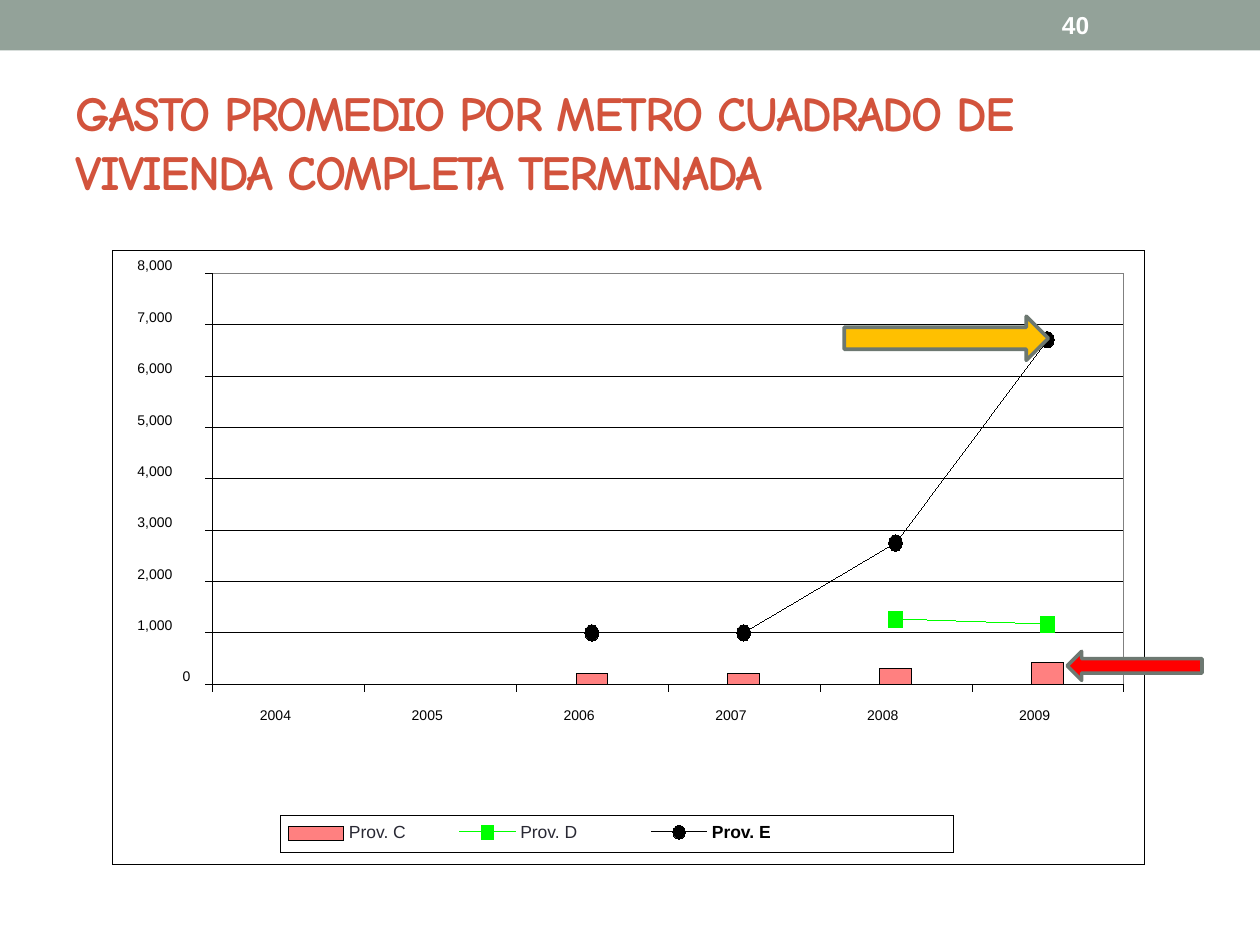
from dataclasses import dataclass
from lxml import etree
from pptx import Presentation
from pptx import util as u
from pptx.dml.color import RGBColor
from pptx.enum import shapes as es, text as et
from pptx.oxml.ns import qn

BLACK = RGBColor(0, 0, 0)
WHITE = RGBColor(255, 255, 255)
GRAY = RGBColor(0x80, 0x80, 0x80)
SAGE = RGBColor(0x93, 0xA2, 0x99)
EDGE = RGBColor(0x6D, 0x78, 0x71)
RUST = RGBColor(0xD2, 0x53, 0x3C)
INK = RGBColor(0x29, 0x29, 0x34)
PINK = RGBColor(0xFF, 0x80, 0x80)
GREEN = RGBColor(0, 255, 0)
GOLD = RGBColor(0xFF, 0xC0, 0)
RED = RGBColor(255, 0, 0)

RECT = es.MSO_SHAPE.RECTANGLE
OVAL = es.MSO_SHAPE.OVAL
YEARS = range(2004, 2010)
ROWS = 8
LEFT, TOP, WIDE, HIGH = 1.69, 2.17, 7.23, 3.26
BASE, RIGHT = TOP + HIGH, LEFT + WIDE
COL, ROW = WIDE / len(YEARS), HIGH / ROWS
TICK = 0.06
KEY = 6.6
HAIR = 0.01


@dataclass
class Series:
    name: str
    color: RGBColor
    mark: es.MSO_SHAPE
    data: dict
    left: float
    label: float
    wide: float = 0.47
    ink: RGBColor = INK
    bold: bool = False


BARS = Series("Prov. C", PINK, RECT,
              {2006: 210, 2007: 210, 2008: 300, 2009: 420}, 2.29, 2.77)
LINES = [
    Series("Prov. D", GREEN, RECT, {2008: 1270, 2009: 1170}, 3.65, 4.13),
    Series("Prov. E", BLACK, OVAL,
           {2006: 1010, 2007: 1010, 2008: 2760, 2009: 6720},
           5.17, 5.65, 0.61, BLACK, True),
]


def mid(year: int) -> float:
    return LEFT + (year - YEARS[0] + 0.5) * COL


def level(value: float) -> float:
    return BASE - value / 1000 * ROW


def box(host, kind, x: float, y: float, w: float, h: float,
        fill=None, line=None, width: float = HAIR):
    item = host.add_shape(kind, *map(u.Inches, (x, y, w, h)))
    item.shadow.inherit = False
    if fill is None:
        item.fill.background()
    else:
        item.fill.solid()
        item.fill.fore_color.rgb = fill
    if line is None:
        item.line.fill.background()
    else:
        item.line.color.rgb = line
        item.line.width = u.Pt(width)
    return item


def rule(host, x: float, y: float, x2: float, y2: float, color=BLACK):
    item = host.add_connector(es.MSO_CONNECTOR.STRAIGHT,
                              *map(u.Inches, (x, y, x2, y2)))
    item.line.color.rgb = color
    item.line.width = u.Pt(HAIR)
    etree.SubElement(item._element.spPr, qn("a:effectLst"))
    return item


def style(frame, size: float, color: RGBColor, bold: bool = False,
          face: str = "Arial"):
    font = frame.paragraphs[0].runs[0].font
    font.size, font.bold, font.name = u.Pt(size), bold, face
    font.color.rgb = color


def label(host, words: str, x: float, y: float, w: float, h: float,
          size: float = 8, color=BLACK, bold: bool = False, pad: float = 0):
    frame = host.add_textbox(*map(u.Inches, (x, y, w, h))).text_frame
    frame.word_wrap = True
    frame.margin_left = frame.margin_right = u.Inches(pad)
    frame.margin_top = frame.margin_bottom = u.Inches(pad / 2)
    frame.text = words
    style(frame, size, color, bold)
    return frame


def axes(host):
    plot = box(host, RECT, LEFT, TOP, WIDE, HIGH, WHITE)
    for row in range(1, ROWS + 1):
        y = BASE - row * ROW
        grid = rule(host, LEFT, y, RIGHT, y)
        if row * 2 == ROWS:
            grid.begin_connect(plot, 1)
            grid.end_connect(plot, 3)
    box(host, RECT, LEFT, TOP, WIDE, HIGH, line=GRAY)
    rule(host, LEFT, TOP, LEFT, BASE)
    rule(host, LEFT, BASE, RIGHT, BASE)
    for row in range(ROWS + 1):
        y = BASE - row * ROW
        tick = rule(host, LEFT - TICK, y, LEFT, y)
        if row * 2 == ROWS:
            tick.end_connect(plot, 1)
        x, w = (1.09, 0.58) if row else (1.45, 0.2)
        label(host, f"{row * 1000:,}", x, y - 0.13, w, 0.3)
    for col in range(len(YEARS) + 1):
        x = LEFT + col * COL
        rule(host, x, BASE + TICK, x, BASE)
    for year in YEARS:
        label(host, str(year), mid(year) - 0.23, 5.61, 0.25, 0.14)


def trace(host, spots: list, color: RGBColor):
    first, *rest = [tuple(map(u.Inches, spot)) for spot in spots]
    pen = host.build_freeform(*first)
    pen.add_line_segments(rest, close=False)
    path = pen.convert_to_shape()
    path.shadow.inherit = False
    path.fill.background()
    path.line.color.rgb = color
    path.line.width = u.Pt(HAIR)


def marks(host):
    for year, value in BARS.data.items():
        y = level(value)
        box(host, RECT, mid(year) - 0.13, y, 0.25, BASE - y, PINK, BLACK)
    for row in LINES:
        spots = [(mid(year), level(val)) for year, val in row.data.items()]
        if len(spots) == 2:
            rule(host, *spots[0], *spots[1], row.color)
        else:
            trace(host, spots, row.color)
    for row in LINES:
        for year, val in row.data.items():
            box(host, row.mark, mid(year) - 0.06, level(val) - 0.06,
                0.11, 0.13, row.color, row.color)


def legend(host):
    box(host, RECT, 2.23, 6.47, 5.34, 0.3, WHITE, BLACK)
    box(host, RECT, BARS.left, KEY - 0.04, 0.44, 0.11, PINK, BLACK)
    for row in LINES:
        rule(host, row.left, KEY, row.left + 0.44, KEY, row.color)
        box(host, row.mark, row.left + 0.17, KEY - 0.05, 0.1, 0.11,
            row.color, row.color)
    for row in [BARS, *LINES]:
        label(host, row.name, row.label, 6.52, row.wide, 0.17,
              10, row.ink, row.bold)


def main():
    deck = Presentation()
    deck.slide_width, deck.slide_height = u.Inches(10), u.Inches(7.5)
    slide = deck.slides.add_slide(deck.slide_layouts[5])
    host = slide.shapes
    band = box(host, RECT, 0, 0, 10, 0.4, SAGE)
    host._spTree.insert(2, band._element)

    title = host.title
    title.left, title.top, title.width, title.height = map(
        u.Inches, (0.5, 0.58, 9, 1.08))
    frame = title.text_frame
    frame.text = ("GASTO PROMEDIO POR METRO CUADRADO DE "
                  "VIVIENDA COMPLETA TERMINADA")
    frame.vertical_anchor = et.MSO_ANCHOR.MIDDLE
    frame.paragraphs[0].alignment = et.PP_ALIGN.LEFT
    style(frame, 28, RUST, True, "Comic Neue")
    frame.paragraphs[0].runs[0].font._element.set("spc", "-100")

    page = label(host, "40", 8.33, 0.02, 1.17, 0.36, 14, WHITE, True, 0.1)
    page.vertical_anchor = et.MSO_ANCHOR.MIDDLE

    chart = host.add_group_shape().shapes
    box(chart, RECT, 0.89, 1.99, 8.19, 4.87, WHITE, BLACK)
    axes(chart)
    marks(chart)
    legend(chart)
    box(chart, RECT, 0.89, 1.99, 8.19, 4.87, line=BLACK)

    box(host, es.MSO_SHAPE.RIGHT_ARROW, 6.7, 2.51, 1.62, 0.35, GOLD, EDGE, 2.08)
    box(host, es.MSO_SHAPE.LEFT_ARROW, 8.47, 5.17, 1.07, 0.23, RED, EDGE, 2.08)
    deck.save("out.pptx")


if __name__ == "__main__":
    main()
